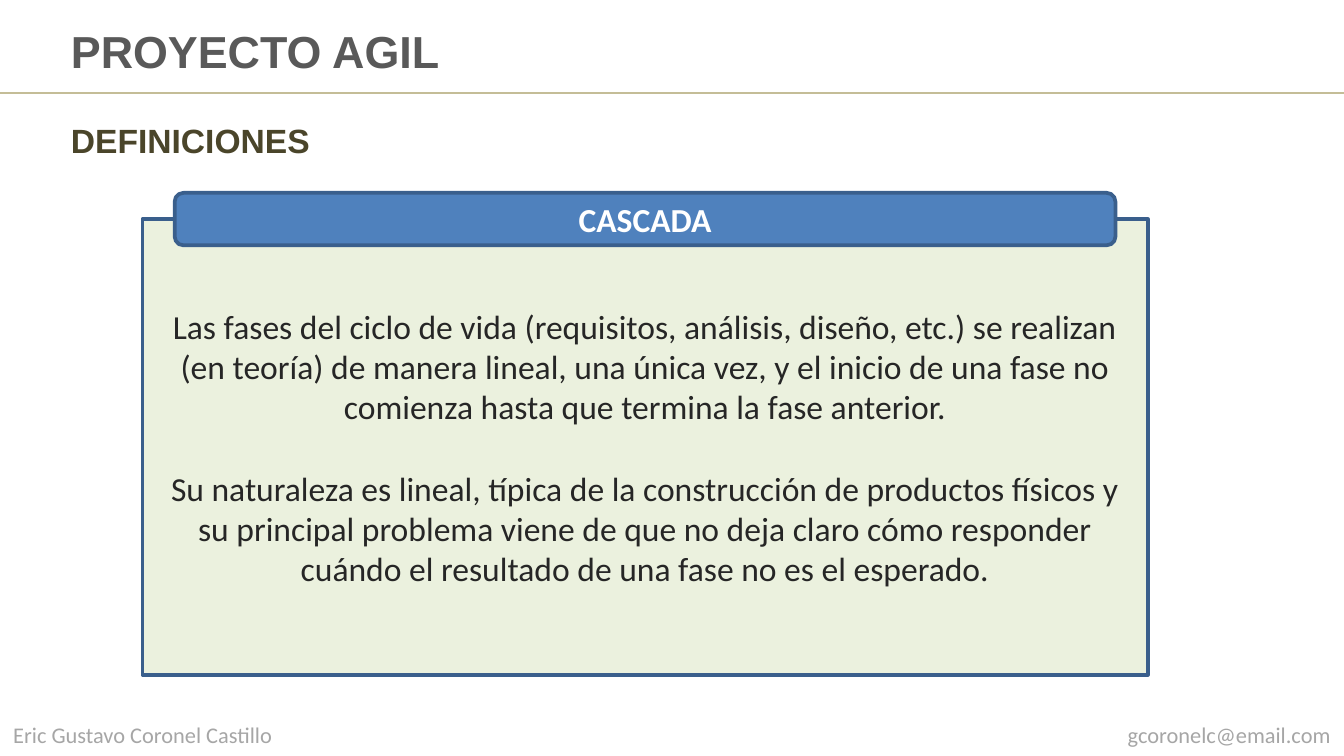
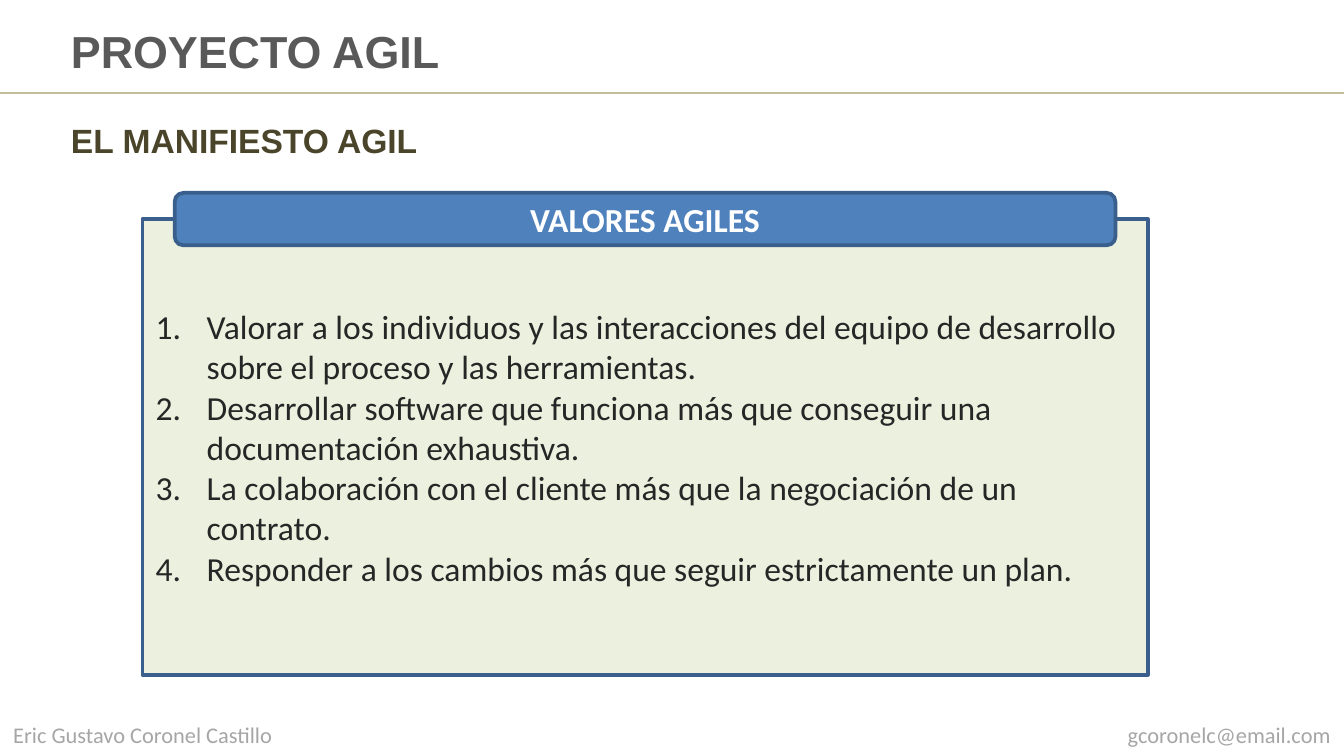
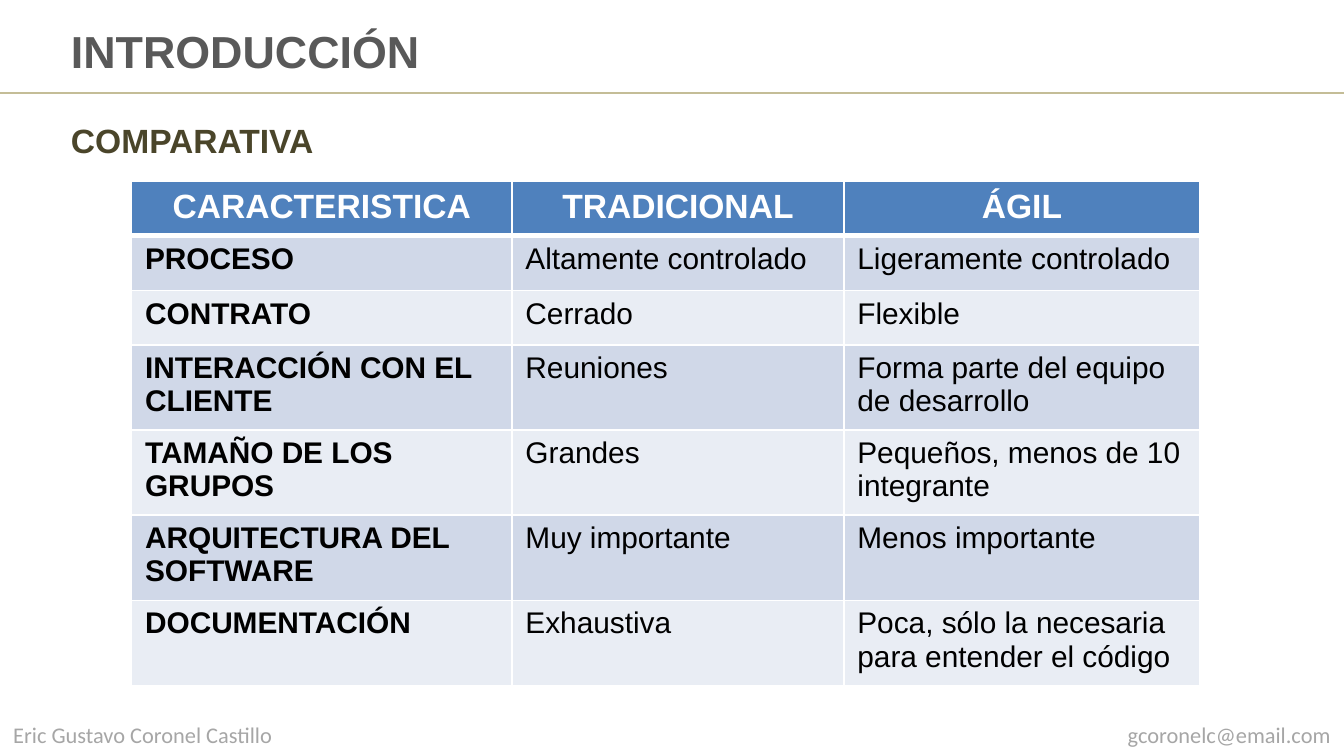
from lxml.etree import SubElement
from pptx import Presentation
from pptx.dml.color import RGBColor
from pptx.enum.shapes import MSO_CONNECTOR, MSO_SHAPE
from pptx.enum.text import MSO_ANCHOR, PP_ALIGN
from pptx.oxml.ns import qn
from pptx.util import Inches, Pt

COLORS = {
    "title": "595959",
    "subtitle": "4A452A",
    "rule": "C4BD97",
    "footer": "A6A6A6",
    "panel": "EBF1DE",
    "panel_text": "262626",
    "accent": "4F81BD",
    "outline": "3A5F8C",
    "band_dark": "D0D8E8",
    "band_light": "E9EDF4",
    "white": "FFFFFF",
    "black": "000000",
}
SLIDE_WIDTH = 10
SLIDE_HEIGHT = SLIDE_WIDTH * 9 / 16
PANEL_BOX = (1.06, 1.63, 7.48, 3.39)
TABLE_BOX = (0.98, 1.35, 7.95, 2.84)
COLUMN_WIDTHS = (2.83, 2.47, 2.65)
NUMBER_INDENT = 0.38

WATERFALL = [
    "Las fases del ciclo de vida (requisitos, análisis, diseño, etc.) se realizan "
    "(en teoría) de manera lineal, una única vez, y el inicio de una fase no "
    "comienza hasta que termina la fase anterior.",
    "Su naturaleza es lineal, típica de la construcción de productos físicos y "
    "su principal problema viene de que no deja claro cómo responder "
    "cuándo el resultado de una fase no es el esperado.",
]
AGILE_VALUES = [
    "Valorar a los individuos y las interacciones del equipo de desarrollo "
    "sobre el proceso y las herramientas.",
    "Desarrollar software que funciona más que conseguir una documentación exhaustiva.",
    "La colaboración con el cliente más que la negociación de un contrato.",
    "Responder a los cambios más que seguir estrictamente un plan.",
]
COMPARISON = [
    ("CARACTERISTICA", "TRADICIONAL", "ÁGIL"),
    ("PROCESO", "Altamente controlado", "Ligeramente controlado"),
    ("CONTRATO", "Cerrado", "Flexible"),
    ("INTERACCIÓN CON EL CLIENTE", "Reuniones", "Forma parte del equipo de desarrollo"),
    ("TAMAÑO DE LOS GRUPOS", "Grandes", "Pequeños, menos de 10 integrante"),
    ("ARQUITECTURA DEL SOFTWARE", "Muy importante", "Menos importante"),
    ("DOCUMENTACIÓN", "Exhaustiva", "Poca, sólo la necesaria para entender el código"),
]


def rgb(name):
    return RGBColor.from_string(COLORS[name])


def inches(*lengths):
    return [Inches(length) for length in lengths]


def write(frame, *texts, size=18, font="Arial", color="black", bold=False,
          align=PP_ALIGN.LEFT, gap=0, numbered=False):
    """Write each text as a paragraph, with gap points between paragraphs."""
    frame.word_wrap = True
    for index, text in enumerate(texts):
        paragraph = frame.add_paragraph() if index else frame.paragraphs[0]
        paragraph.alignment = align
        if index:
            paragraph.space_before = Pt(gap)
        if numbered:
            properties = paragraph._p.get_or_add_pPr()
            properties.set("marL", str(Inches(NUMBER_INDENT)))
            properties.set("indent", str(-Inches(NUMBER_INDENT)))
            SubElement(properties, qn("a:buFont"), typeface="+mj-lt")
            SubElement(properties, qn("a:buAutoNum"), type="arabicPeriod")
        run = paragraph.add_run()
        run.text = text
        run.font.size = Pt(size)
        run.font.name = font
        run.font.bold = bold
        run.font.color.rgb = rgb(color)


def add_text(slide, box, text, anchor=MSO_ANCHOR.TOP, **text_format):
    frame = slide.shapes.add_textbox(*inches(*box)).text_frame
    frame.vertical_anchor = anchor
    write(frame, text, **text_format)


def add_block(slide, kind, box, fill, texts, **text_format):
    shape = slide.shapes.add_shape(kind, *inches(*box))
    shape.shadow.inherit = False
    shape.fill.solid()
    shape.fill.fore_color.rgb = rgb(fill)
    shape.line.color.rgb = rgb("outline")
    shape.line.width = Pt(2)
    shape.text_frame.vertical_anchor = MSO_ANCHOR.MIDDLE
    write(shape.text_frame, *texts, font="Calibri", **text_format)


def add_rule(slide, top):
    rule = slide.shapes.add_connector(
        MSO_CONNECTOR.STRAIGHT, *inches(-0.01, top, SLIDE_WIDTH, top))
    rule.line.color.rgb = rgb("rule")
    rule.line.width = Pt(1)
    SubElement(rule._element.spPr, qn("a:effectLst"))


def add_footer(slide):
    width, height, top = 3.23, 0.3, 5.32
    footer_format = {"size": 12, "font": "Calibri", "color": "footer"}
    add_text(slide, (0, top, width, height), "Eric Gustavo Coronel Castillo",
             **footer_format)
    add_text(slide, (SLIDE_WIDTH - width, top, width, height), "gcoronelc@email.com",
             align=PP_ALIGN.RIGHT, **footer_format)


def add_framed_slide(presentation, title, subtitle):
    """Add a slide with the shared rule, footer, title and subtitle."""
    slide = presentation.slides.add_slide(presentation.slide_layouts[6])
    add_rule(slide, 0.69)
    add_footer(slide)
    add_text(slide, (0.43, 0.14, 9.13, 0.47), title, anchor=MSO_ANCHOR.MIDDLE,
             size=24, color="title", bold=True)
    add_text(slide, (0.43, 0.84, 7.87, 0.4), subtitle, color="subtitle", bold=True)
    return slide


def add_panel(slide, box, heading, texts, **text_format):
    """Add a text panel with its heading tab across the top edge."""
    left, top, width, height = box
    inset, tab_height = 0.24, 0.39
    add_block(slide, MSO_SHAPE.RECTANGLE, box, "panel", texts,
              color="panel_text", **text_format)
    tab_box = (left + inset, top - tab_height / 2, width - 2 * inset, tab_height)
    add_block(slide, MSO_SHAPE.ROUNDED_RECTANGLE, tab_box, "accent", [heading],
              color="white", bold=True, align=PP_ALIGN.CENTER)


def set_borders(cell, **widths):
    """Draw white cell borders, one point wide unless a side is given a width."""
    properties = cell._tc.get_or_add_tcPr()
    for side in "LRTB":
        line = SubElement(properties, qn(f"a:ln{side}"), w=str(Pt(widths.get(side, 1))))
        fill = SubElement(line, qn("a:solidFill"))
        SubElement(fill, qn("a:srgbClr"), val=COLORS["white"])


def add_comparison(slide, box, rows):
    table = slide.shapes.add_table(len(rows), len(COLUMN_WIDTHS), *inches(*box)).table
    for column, width in zip(table.columns, COLUMN_WIDTHS):
        column.width = Inches(width)
    for row_index, row in enumerate(rows):
        table.rows[row_index].height = Inches(box[3] / len(rows))
        if row_index == 0:
            fill, borders = "accent", {"B": 3}
            row_format = {"color": "white", "align": PP_ALIGN.CENTER}
        else:
            fill = "band_dark" if row_index % 2 else "band_light"
            borders = {"T": 3} if row_index == 1 else {}
            row_format = {"size": 16}
        for column_index, text in enumerate(row):
            cell = table.cell(row_index, column_index)
            set_borders(cell, **borders)
            cell.fill.solid()
            cell.fill.fore_color.rgb = rgb(fill)
            write(cell.text_frame, text,
                  bold=row_index == 0 or column_index == 0, **row_format)


def main():
    presentation = Presentation()
    presentation.slide_width, presentation.slide_height = inches(SLIDE_WIDTH, SLIDE_HEIGHT)

    slide = add_framed_slide(presentation, "PROYECTO AGIL", "DEFINICIONES")
    add_panel(slide, PANEL_BOX, "CASCADA", WATERFALL, align=PP_ALIGN.CENTER, gap=22)

    slide = add_framed_slide(presentation, "PROYECTO AGIL", "EL MANIFIESTO AGIL")
    add_panel(slide, PANEL_BOX, "VALORES AGILES", AGILE_VALUES, numbered=True)

    slide = add_framed_slide(presentation, "INTRODUCCIÓN", "COMPARATIVA")
    add_comparison(slide, TABLE_BOX, COMPARISON)

    presentation.save("out.pptx")


if __name__ == "__main__":
    main()
